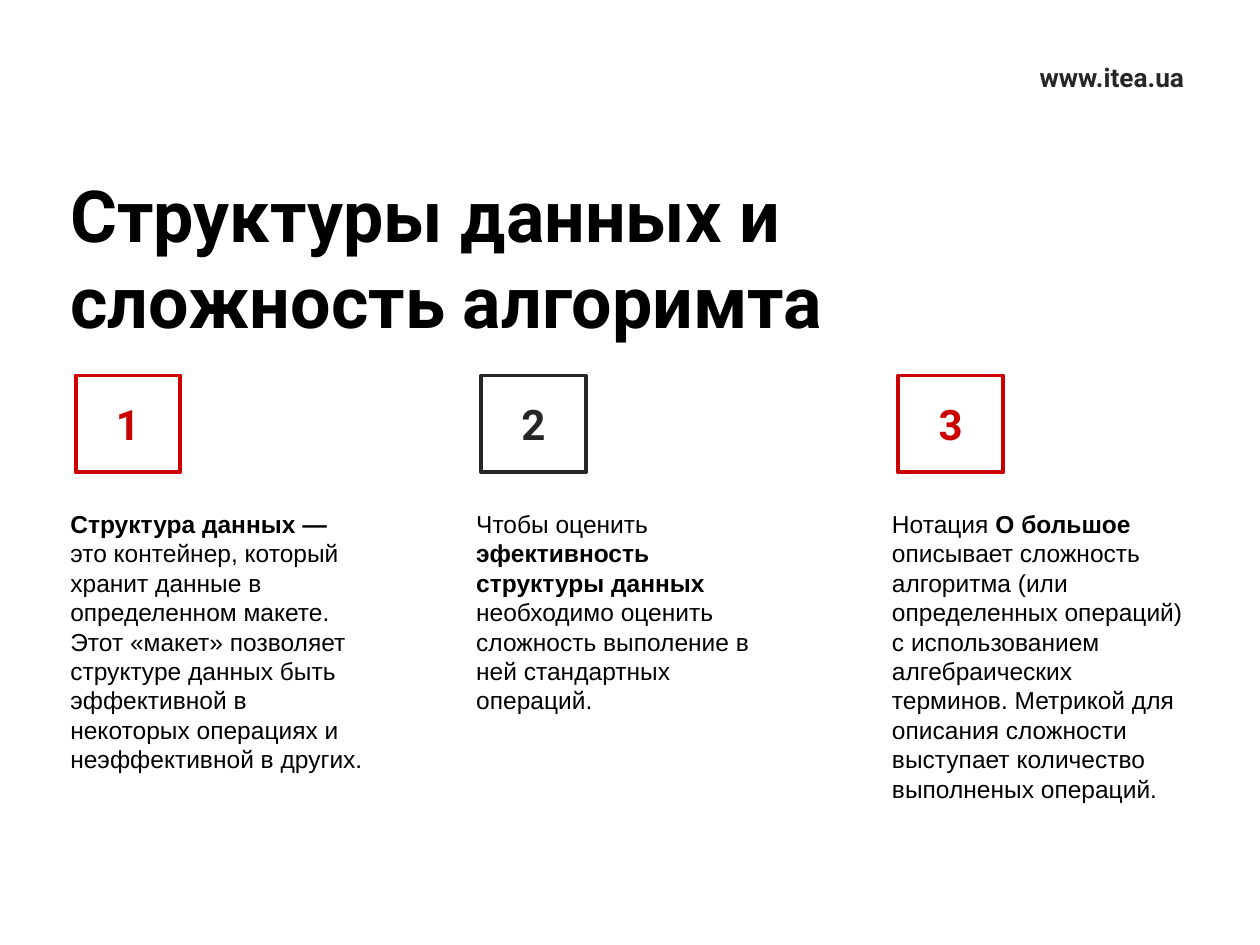
"""Build the slide on data structures and algorithm complexity."""
from dataclasses import dataclass

from pptx import Presentation
from pptx.dml.color import RGBColor
from pptx.enum import shapes, text
from pptx.util import Pt


@dataclass(frozen=True)
class Theme:
    red: RGBColor = RGBColor(0xCC, 0x00, 0x00)
    dark: RGBColor = RGBColor(0x26, 0x26, 0x26)
    black: RGBColor = RGBColor(0x00, 0x00, 0x00)
    heading_font: str = "Roboto"
    body_font: str = "Arial"
    title_size: float = 41
    number_size: float = 24
    site_size: float = 15
    body_size: float = 14
    border: float = 2.25


@dataclass(frozen=True)
class Area:
    left: float
    top: float
    width: float
    height: float

    def lengths(self) -> tuple:
        return Pt(self.left), Pt(self.top), Pt(self.width), Pt(self.height)


@dataclass(frozen=True)
class Span:
    words: str
    bold: bool = False


@dataclass(frozen=True)
class Column:
    badge_left: float
    text_left: float
    color: RGBColor
    spans: tuple[Span, ...]


THEME = Theme()
TITLE = Area(33.1, 101.5, 645, 90)
SITE = Area(562.3, 32.4, 146.2, 23)
BADGE_TOP, BADGE_WIDTH, BADGE_HEIGHT = 214.6, 59.8, 55.4
TEXT_TOP, TEXT_WIDTH, TEXT_HEIGHT = 287.3, 181.4, 205

COLUMNS = (
    Column(43.2, 33.1, THEME.red, (
        Span("Структура данных — ", True),
        Span("это контейнер, который хранит данные в определенном макете. "
             "Этот «макет» позволяет структуре данных быть эффективной в "
             "некоторых операциях и неэффективной в других."),
    )),
    Column(275, 265, THEME.dark, (
        Span("Чтобы оценить "),
        Span("эфективность структуры данных ", True),
        Span("необходимо оценить сложность выполение в ней стандартных операций."),
    )),
    Column(513.4, 502.6, THEME.red, (
        Span("Нотация "),
        Span("О большое ", True),
        Span("описывает сложность алгоритма (или определенных операций) с "
             "использованием алгебраических терминов. Метрикой для описания "
             "сложности выступает количество выполненых операций."),
    )),
)


def write(box, spans: tuple[Span, ...], font: str, size: float, color: RGBColor,
          align=text.PP_ALIGN.LEFT, anchor=text.MSO_ANCHOR.MIDDLE) -> None:
    frame = box.text_frame
    frame.word_wrap = True
    frame.auto_size = text.MSO_AUTO_SIZE.NONE
    frame.vertical_anchor = anchor
    para = frame.paragraphs[0]
    para.alignment = align
    for span in spans:
        run = para.add_run()
        run.text = span.words
        run.font.name = font
        run.font.size = Pt(size)
        run.font.bold = span.bold
        run.font.color.rgb = color


def add_title(page, words: str) -> None:
    box = page.shapes.title
    box.left, box.top, box.width, box.height = TITLE.lengths()
    write(box, (Span(words, True),), THEME.heading_font, THEME.title_size, THEME.black)


def add_label(page, kind, area: Area, words: str, size: float, color: RGBColor):
    box = page.shapes.add_shape(kind, *area.lengths())
    box.shadow.inherit = False
    box.fill.background()
    box.line.fill.background()
    write(box, (Span(words, True),), THEME.heading_font, size, color,
          align=text.PP_ALIGN.CENTER)
    return box


def add_site(page, address: str) -> None:
    box = add_label(page, shapes.MSO_SHAPE.ROUNDED_RECTANGLE, SITE, address,
                    THEME.site_size, THEME.dark)
    box.adjustments[0] = 0


def add_column(page, number: int, column: Column) -> None:
    area = Area(column.text_left, TEXT_TOP, TEXT_WIDTH, TEXT_HEIGHT)
    box = page.shapes.add_textbox(*area.lengths())
    write(box, column.spans, THEME.body_font, THEME.body_size, THEME.black,
          anchor=text.MSO_ANCHOR.TOP)
    area = Area(column.badge_left, BADGE_TOP, BADGE_WIDTH, BADGE_HEIGHT)
    badge = add_label(page, shapes.MSO_SHAPE.RECTANGLE, area, str(number),
                      THEME.number_size, column.color)
    badge.line.color.rgb = column.color
    badge.line.width = Pt(THEME.border)


def main() -> None:
    deck = Presentation()
    deck.slide_width, deck.slide_height = Pt(720), Pt(540)
    page = deck.slides.add_slide(deck.slide_layouts.get_by_name("Title Only"))
    add_title(page, "Структуры данных и сложность алгоримта")
    add_site(page, "www.itea.ua")
    for number, column in enumerate(COLUMNS, start=1):
        add_column(page, number, column)
    deck.save("out.pptx")


if __name__ == "__main__":
    main()
